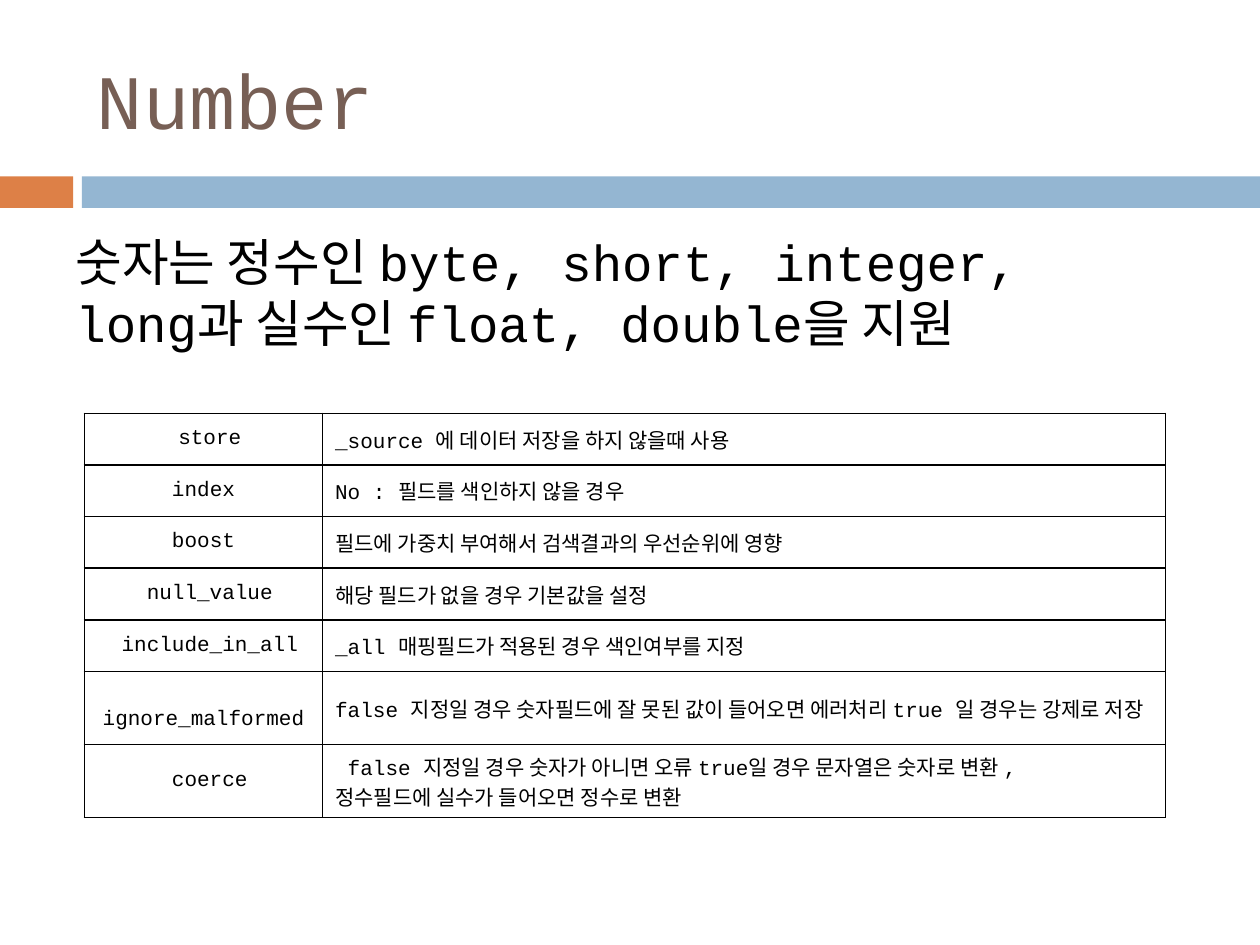
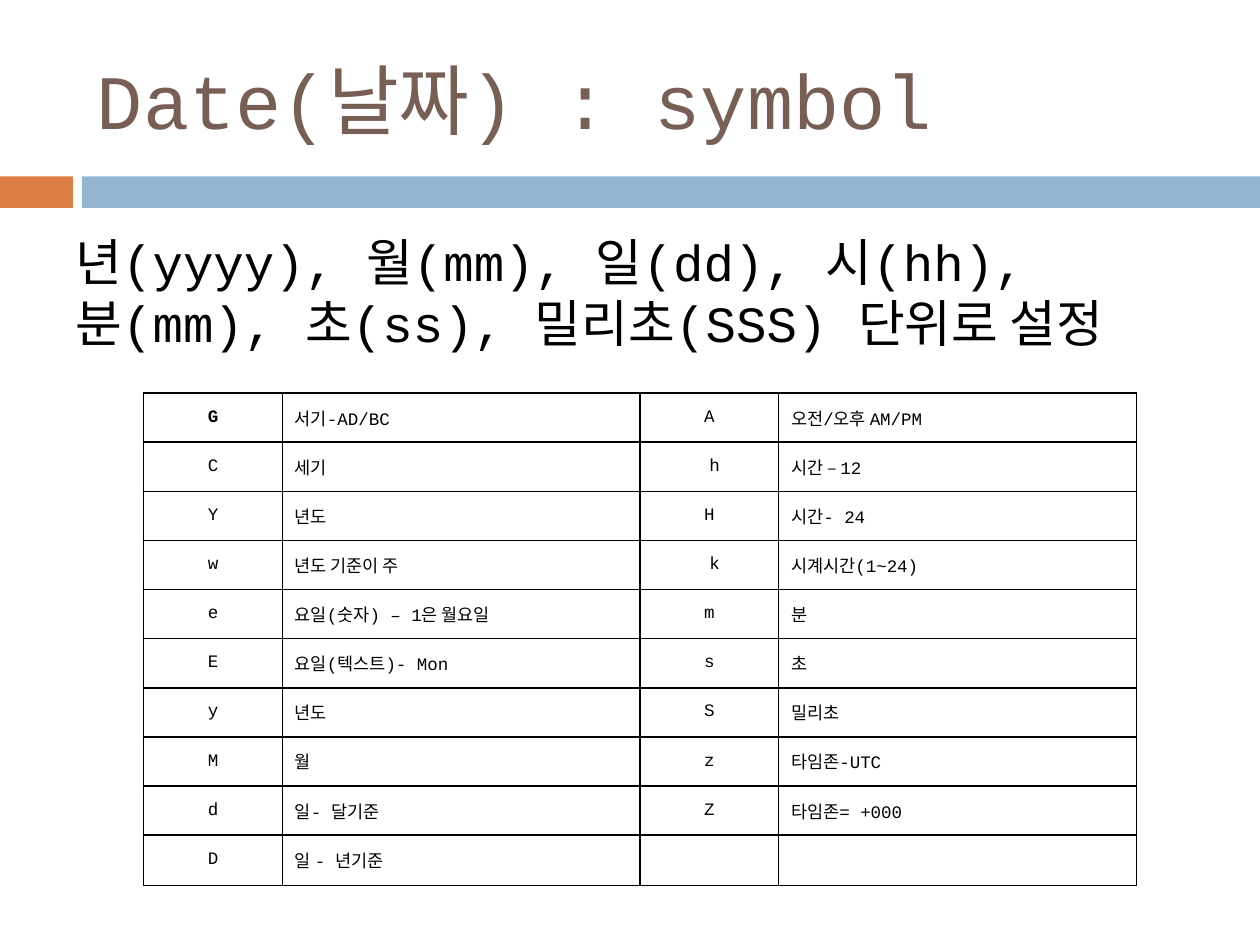
from lxml import etree
from pptx import Presentation
from pptx import util as u
from pptx.dml.color import RGBColor
from pptx.enum import shapes, text
from pptx.oxml.ns import qn

# Content
SLIDES = [
    {
        "title": "Number",
        "body": "숫자는 정수인 byte, short, integer,\vlong과 실수인 float, double을 지원",
        "table": {
            "left": 0.67, "top": 3.28, "columns": [1.89, 6.69], "size": 12,
            "heights": [0.41] * 5 + [0.58] * 2,
            "rows": [
                (" store", "_source 에 데이터 저장을 하지 않을때 사용"),
                ("index", "No : 필드를 색인하지 않을 경우"),
                ("boost", "필드에 가중치 부여해서 검색결과의 우선순위에 영향"),
                (" null_value", "해당 필드가 없을 경우 기본값을 설정"),
                (" include_in_all", "_all 매핑필드가 적용된 경우 색인여부를 지정"),
                (" ignore_malformed", "false 지정일 경우 숫자필드에 잘 못된 값이 들어오면 "
                                      "에러처리 true 일 경우는 강제로 저장"),
                (" coerce", " false 지정일 경우 숫자가 아니면 오류 true일 경우 문자열은 "
                            "숫자로 변환 ,\v정수필드에 실수가 들어오면 정수로 변환"),
            ],
        },
    },
    {
        "title": "Date(날짜) : symbol",
        "body": "년(yyyy), 월(mm), 일(dd), 시(hh),\v분(mm), 초(ss), 밀리초(SSS) 단위로 설정",
        "table": {
            "left": 1.14, "top": 3.12, "columns": [1.1, 2.84] * 2, "size": 10,
            "heights": [0.39] * 10,
            "bold": "G",
            "rows": [
                ("G", "서기-AD/BC", "A", "오전/오후 AM/PM"),
                ("C", "세기", " h", "시간 – 12"),
                ("Y", "년도", "H", "시간- 24"),
                ("w", "년도 기준이 주", " k", "시계시간(1~24)"),
                ("e", "요일(숫자) – 1은 월요일", "m", "분"),
                ("E", "요일(텍스트)- Mon", "s", "초"),
                ("y", "년도", "S", "밀리초"),
                ("M", "월", "z", "타임존-UTC"),
                ("d", "일- 달기준", "Z", "타임존= +000"),
                ("D", "일 - 년기준", "", ""),
            ],
        },
    },
]

# Shared look
FONT = "Courier New"
COLORS = {"title": "775F55", "text": "000000", "accent": "DD8047", "band": "94B6D2"}
BANDS = [("accent", 0, 0.58), ("band", 0.65, 9.35)]
TITLE = {"box": (0.67, 0.25, 8.92, 1.08), "size": 44, "color": "title", "spacing": 50,
         "frame": {"margin_top": u.Inches(0.07), "vertical_anchor": text.MSO_ANCHOR.MIDDLE}}
BODY = {"box": (0.5, 1.78, 9, 2.2), "size": 29, "color": "text", "spacing": 35,
        "frame": {"margin_top": u.Inches(0.05), "vertical_anchor": text.MSO_ANCHOR.TOP}}


def set_all(target, values):
    for name, value in values.items():
        setattr(target, name, value)


def write(paragraph, words, size, color, bold=False):
    paragraph.text = words
    for run in paragraph.runs:
        set_all(run.font, {"name": FONT, "size": u.Pt(size), "bold": bold})
        run.font.color.rgb = RGBColor.from_string(COLORS[color])


def add_bands(slide):
    for color, left, width in BANDS:
        band = slide.shapes.add_shape(shapes.MSO_SHAPE.RECTANGLE, u.Inches(left), u.Inches(1.4),
                                      u.Inches(width), u.Inches(0.25))
        band.shadow.inherit = False
        band.fill.solid()
        band.fill.fore_color.rgb = RGBColor.from_string(COLORS[color])
        band.line.fill.background()


def add_text(slide, words, style):
    frame = slide.shapes.add_textbox(*map(u.Inches, style["box"])).text_frame
    set_all(frame, {"word_wrap": True, **style["frame"]})
    paragraph = frame.paragraphs[0]
    paragraph.line_spacing = u.Pt(style["spacing"])
    write(paragraph, words, style["size"], style["color"])


def add_borders(cell):
    properties = cell._tc.get_or_add_tcPr()
    for index, side in enumerate(("lnL", "lnR", "lnT", "lnB")):
        line = etree.Element(qn("a:" + side), w=str(u.Pt(1)))
        fill = etree.SubElement(line, qn("a:solidFill"))
        etree.SubElement(fill, qn("a:srgbClr"), val=COLORS["text"])
        properties.insert(index, line)


def add_grid(slide, grid):
    rows, columns, heights = grid["rows"], grid["columns"], grid["heights"]
    table = slide.shapes.add_table(
        len(rows), len(columns), u.Inches(grid["left"]), u.Inches(grid["top"]),
        u.Inches(sum(columns)), u.Inches(sum(heights))).table
    set_all(table, {"first_row": False, "horz_banding": False})
    for column, width in zip(table.columns, columns):
        column.width = u.Inches(width)
    for row, height in zip(table.rows, heights):
        row.height = u.Inches(height)
    for row_index, row in enumerate(rows):
        for column_index, words in enumerate(row):
            cell = table.cell(row_index, column_index)
            cell.vertical_anchor = text.MSO_ANCHOR.MIDDLE
            cell.fill.background()
            add_borders(cell)
            paragraph = cell.text_frame.paragraphs[0]
            # Keys sit in the even columns, their meanings beside them
            is_key = column_index % 2 == 0
            paragraph.alignment = text.PP_ALIGN.CENTER if is_key else text.PP_ALIGN.LEFT
            write(paragraph, words, grid["size"], "text", words == grid.get("bold"))


def main():
    presentation = Presentation()
    set_all(presentation, {"slide_width": u.Inches(10), "slide_height": u.Inches(7.5)})
    for content in SLIDES:
        slide = presentation.slides.add_slide(presentation.slide_layouts[6])
        add_bands(slide)
        add_text(slide, content["title"], TITLE)
        add_text(slide, content["body"], BODY)
        add_grid(slide, content["table"])
    presentation.save("out.pptx")


if __name__ == "__main__":
    main()
